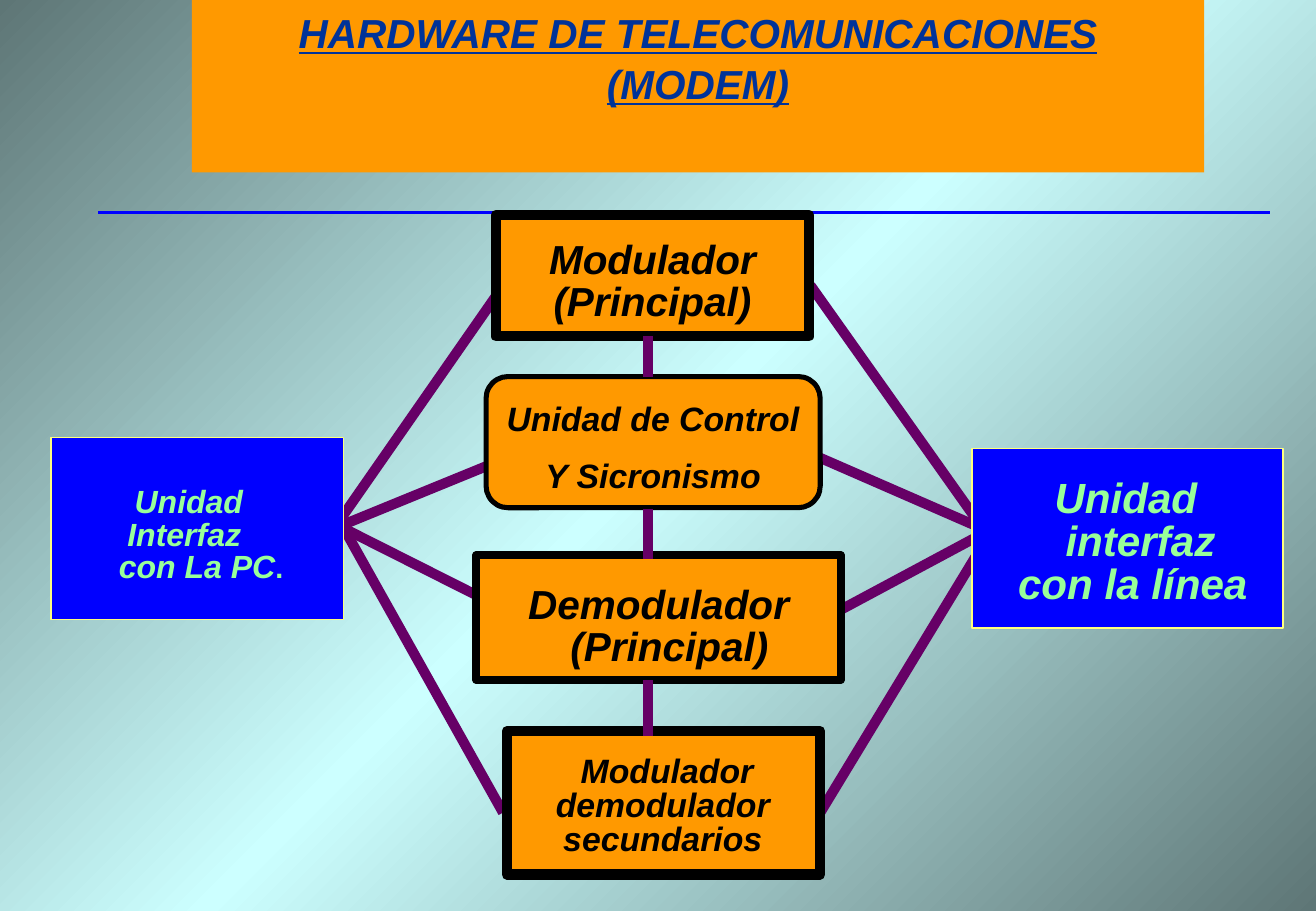
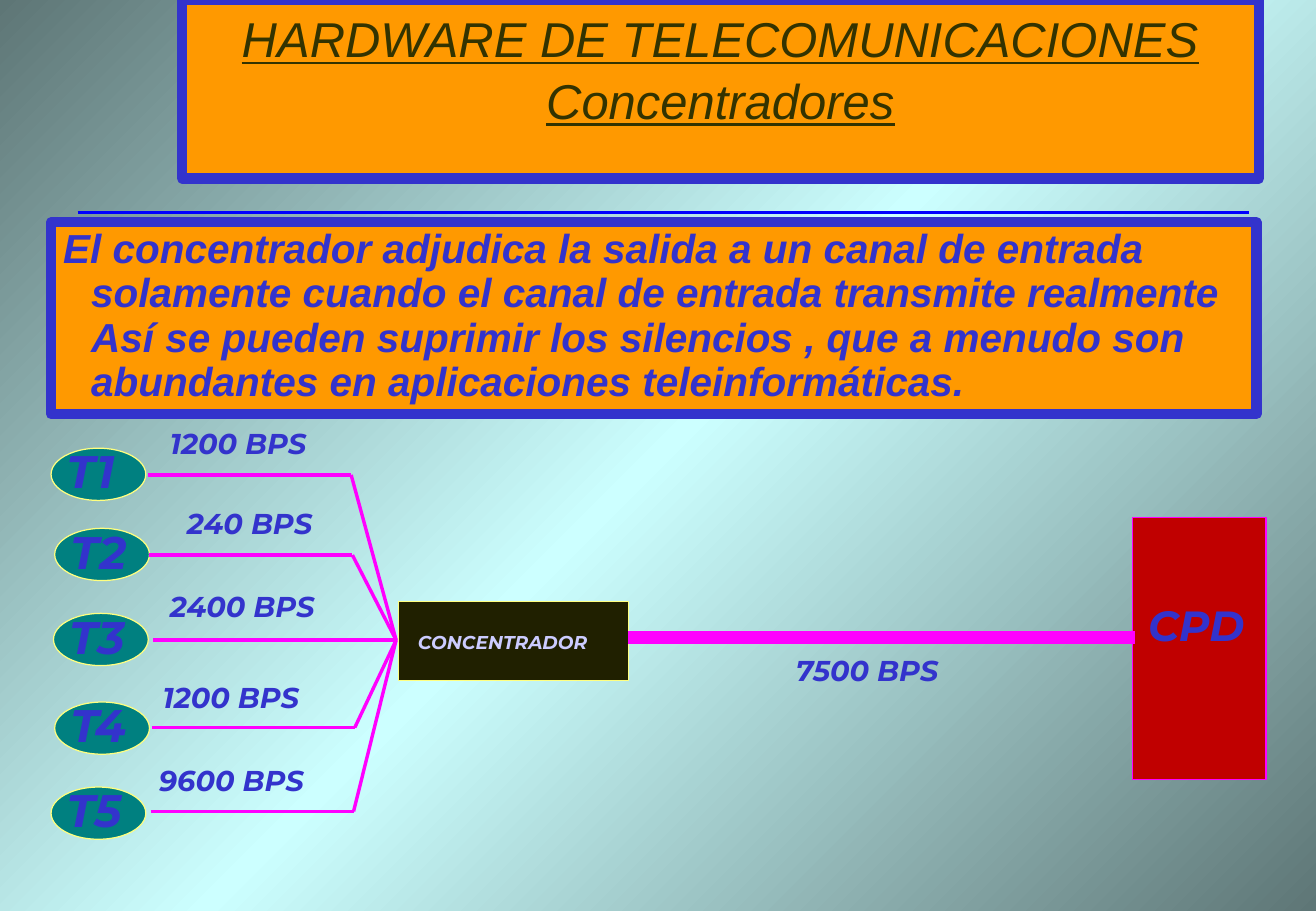
from copy import deepcopy
from dataclasses import dataclass

from pptx import Presentation
from pptx.dml.color import RGBColor
from pptx.enum.shapes import MSO_CONNECTOR, MSO_SHAPE
from pptx.enum.text import MSO_ANCHOR, MSO_AUTO_SIZE, PP_ALIGN
from pptx.oxml.ns import qn
from pptx.util import Pt

PX = 9144


@dataclass(frozen=True)
class Theme:
    edge: str = "5E7676"
    glow: str = "CCFFFF"
    orange: str = "FF9900"
    blue: str = "0000FF"
    indigo: str = "3333CC"
    navy: str = "003399"
    olive: str = "333300"
    black: str = "000000"
    purple: str = "660066"
    mint: str = "99FF99"
    cream: str = "FFFF80"
    teal: str = "008080"
    dark: str = "202000"
    lilac: str = "CCCCFF"
    magenta: str = "FF00FF"
    red: str = "C00000"
    sans: str = "Arial"
    display: str = "Montserrat"
    tiny: int = 11
    small: int = 17
    unit: int = 19
    medium: int = 20
    large: int = 24
    wide: int = 25
    terminal: int = 27
    heading: int = 29
    thin: int = 0
    medium_line: int = 3
    frame: float = 4.5
    thick: int = 6
    trunk: float = 7.5


T = Theme()


@dataclass(frozen=True)
class Box:
    x: int
    y: int
    w: int
    h: int

    def at(self, x, y, w=0, h=0):
        return Box(self.x + x, self.y + y, w, h)

    def emu(self):
        return [v * PX for v in (self.x, self.y, self.w, self.h)]


def rgb(color):
    return RGBColor.from_string(color)


def style(size, color, name=T.sans, **extra):
    return {"size": Pt(size), "color": color, "name": name,
            "bold": True, "italic": True, **extra}


def format_font(font, values):
    for key, value in values.items():
        if key == "color":
            font.color.rgb = rgb(value)
        else:
            setattr(font, key, value)


def paint(sp, fill, line=None, width=0):
    sp.fill.solid()
    sp.fill.fore_color.rgb = rgb(fill)
    if line:
        sp.line.color.rgb = rgb(line)
        sp.line.width = Pt(width)
    else:
        sp.line.fill.background()


def write(sp, lines, font, align=PP_ALIGN.LEFT, spacing=0.85,
          anchor=MSO_ANCHOR.MIDDLE, wrap=False, before=0, hang=0):
    tf = sp.text_frame
    for key, value in {"word_wrap": wrap, "vertical_anchor": anchor,
                       "auto_size": MSO_AUTO_SIZE.NONE}.items():
        setattr(tf, key, value)
    for i, line in enumerate(lines):
        text, indent = line if isinstance(line, tuple) else (line, 0)
        p = tf.add_paragraph() if i else tf.paragraphs[0]
        p.text = text
        p.alignment = align
        p.line_spacing = spacing
        p.space_before = Pt(before if i else 0)
        pPr = p._p.get_or_add_pPr()
        pPr.set("marL", str((indent + hang) * PX))
        pPr.set("indent", str(-hang * PX))
        pPr.append(pPr.makeelement(qn("a:buNone"), {}))
        for r in p.runs:
            format_font(r.font, font)
        for br in p._p.findall(qn("a:br")):
            br.insert(0, deepcopy(p.runs[0]._r.rPr))
    return tf


def add_block(s, box, fill, line=None, width=0, kind=MSO_SHAPE.RECTANGLE):
    sp = s.shapes.add_shape(kind, *box.emu())
    sp.shadow.inherit = False
    paint(sp, fill, line, width)
    return sp


def add_label(s, box, lines, font, **options):
    return write(s.shapes.add_textbox(*box.emu()), lines, font, **options)


def add_line(s, start, end, color, width):
    cx = s.shapes.add_connector(MSO_CONNECTOR.STRAIGHT,
                                *[v * PX for v in (start.x, start.y, end.x, end.y)])
    cx.line.color.rgb = rgb(color)
    cx.line.width = Pt(width)
    spPr = cx._element.spPr
    spPr.append(spPr.makeelement(qn("a:effectLst"), {}))


def place(sp, box):
    for key, value in zip(("left", "top", "width", "height"), box.emu()):
        setattr(sp, key, value)


def set_background(master):
    fill = master.background.fill
    fill.gradient()
    fill.gradient_angle = 315
    stops = next(master._element.iter(qn("a:gsLst")))
    stops.append(deepcopy(stops[0]))
    for gs, pos, color in zip(master.background.fill.gradient_stops,
                              (0, 0.5, 1), (T.edge, T.glow, T.edge)):
        gs.color.rgb = rgb(color)
        gs.position = pos


def add_header(s, box, text, font, rule_x, line=None):
    sp = s.shapes.title
    place(sp, box)
    paint(sp, T.orange, line, T.thick)
    write(sp, [text], font, align=PP_ALIGN.CENTER, spacing=1.05,
          anchor=MSO_ANCHOR.TOP, wrap=True)
    start = Box(rule_x, 175, 0, 0)
    add_line(s, start, start.at(964, 0), T.blue, T.thin)


def add_panel(s, frame, label, lines, size, width):
    add_block(s, frame, T.orange, T.black, width)
    sp = add_block(s, label, T.orange)
    write(sp, lines, style(size, T.black), align=PP_ALIGN.CENTER, wrap=True)


def add_unit(s, frame, label, lines, size):
    add_block(s, frame, T.blue, T.cream)
    return add_label(s, label, lines, style(size, T.mint))


def modem_diagram(s, box):
    links = [(233, 258, 366, 67), (233, 258, 419, 182),
             (225, 250, 358, 317), (241, 258, 372, 492),
             (625, 58, 766, 257), (633, 200, 766, 258),
             (650, 325, 775, 258), (633, 492, 775, 258)]
    for x1, y1, x2, y2 in links:
        add_line(s, box.at(x1, y1), box.at(x2, y2), T.purple, T.thick)

    panels = [
        ((366, 0, 258, 100), (391, 17, 208, 78),
         ["Modulador", "(Principal)"], T.large, T.thick),
        ((350, 280, 300, 103), (367, 301, 266, 78),
         ["Demodulador", ("(Principal)", 18)], T.large, T.frame),
        ((375, 425, 258, 118), (391, 440, 225, 95),
         [("Modulador", 7), "demodulador", "secundarios"], T.medium, T.thick)]
    for frame, label, lines, size, width in panels:
        add_panel(s, box.at(*frame), box.at(*label), lines, size, width)

    control = add_block(s, box.at(358, 133, 275, 108), T.orange, T.black,
                        T.medium_line, MSO_SHAPE.ROUNDED_RECTANGLE)
    write(control, ["Unidad de Control", "Y Sicronismo"],
          style(T.medium, T.black), align=PP_ALIGN.CENTER, spacing=1.2, before=5)

    tf = add_unit(s, box.at(0, 183, 241, 150), box.at(46, 219, 156, 91),
                  [("Unidad", 13), ("Interfaz", 7), "con La PC"], T.unit)
    r = tf.paragraphs[-1].add_run()
    r.text = "."
    format_font(r.font, style(T.small, T.mint, italic=False))
    add_unit(s, box.at(758, 192, 256, 148), box.at(786, 212, 209, 117),
             [("Unidad", 30), ("interfaz", 39), "con la línea"], T.wide)

    for top, bottom in [(100, 133), (242, 283), (383, 429)]:
        add_line(s, box.at(491, top), box.at(491, bottom), T.purple, T.thick)


def add_definition(s, box, text):
    sp = s.placeholders[1]
    place(sp, box)
    paint(sp, T.orange, T.indigo, T.thick)
    write(sp, [text], style(T.large, T.indigo), spacing=0.91,
          anchor=MSO_ANCHOR.TOP, wrap=True, hang=23)


def concentrator_network(s, box):
    rate_font = style(T.small, T.indigo, T.display)
    hub = box.at(284, 177)
    terminals = [("T1", "1200 BPS", (0, 19), (80, 41), (88, 0)),
                 ("T2", "240 BPS", (3, 85), (81, 107), (102, 66)),
                 ("T3", "2400 BPS", (2, 155), (84, 177), (88, 134)),
                 ("T4", "1200 BPS", (3, 228), (83, 249), (82, 209)),
                 ("T5", "9600 BPS", (0, 298), (82, 318), (79, 277))]
    for name, rate, oval, start, rate_at in terminals:
        node = box.at(*oval, 78, 43)
        add_block(s, node, T.teal, T.cream, kind=MSO_SHAPE.OVAL)
        add_label(s, node.at(3, -2, 72, 48), [name],
                  style(T.terminal, T.indigo, T.display))
        wire = box.at(*start)
        bend = wire.at(167, 0)
        add_line(s, wire, bend, T.magenta, T.thin)
        add_line(s, bend, hub, T.magenta, T.thin)
        width = 16 * len(rate) + 16
        add_label(s, box.at(*rate_at, width, 34), [rate], rate_font)

    add_block(s, box.at(286, 145, 189, 65), T.dark, T.cream)
    add_label(s, box.at(292, 167, 171, 26), ["CONCENTRADOR"],
              style(T.tiny, T.lilac, T.display), wrap=True)
    add_block(s, box.at(890, 76, 110, 216), T.red, T.magenta)
    add_line(s, box.at(475, 175), box.at(892, 175), T.magenta, T.trunk)
    add_label(s, box.at(893, 145, 99, 45), ["CPD"],
              style(T.wide, T.indigo, T.display))
    add_label(s, box.at(603, 187, 144, 34), ["7500 BPS"], rate_font)


def modem_slide(prs):
    s = prs.slides.add_slide(prs.slide_layouts[5])
    add_header(s, Box(158, 0, 833, 142),
               "HARDWARE DE TELECOMUNICACIONES\n(MODEM)",
               style(T.large, T.navy, underline=True), 81)
    modem_diagram(s, Box(42, 177, 1014, 543))


def concentrator_slide(prs):
    s = prs.slides.add_slide(prs.slide_layouts[1])
    add_header(s, Box(150, 0, 886, 147),
               "HARDWARE DE TELECOMUNICACIONES\nConcentradores",
               style(T.heading, T.olive, bold=False, underline=True), 64, T.indigo)
    add_definition(s, Box(42, 183, 992, 158),
                   "El concentrador adjudica la salida a un canal de entrada\n"
                   "solamente cuando el canal de entrada transmite realmente\n"
                   "Así se pueden suprimir los silencios , que a menudo son\n"
                   "abundantes en aplicaciones teleinformáticas.")
    concentrator_network(s, Box(42, 350, 1000, 341))


def main():
    prs = Presentation()
    prs.slide_width, prs.slide_height = 1083 * PX, 750 * PX
    set_background(prs.slide_master)
    modem_slide(prs)
    concentrator_slide(prs)
    prs.save("out.pptx")


if __name__ == "__main__":
    main()
